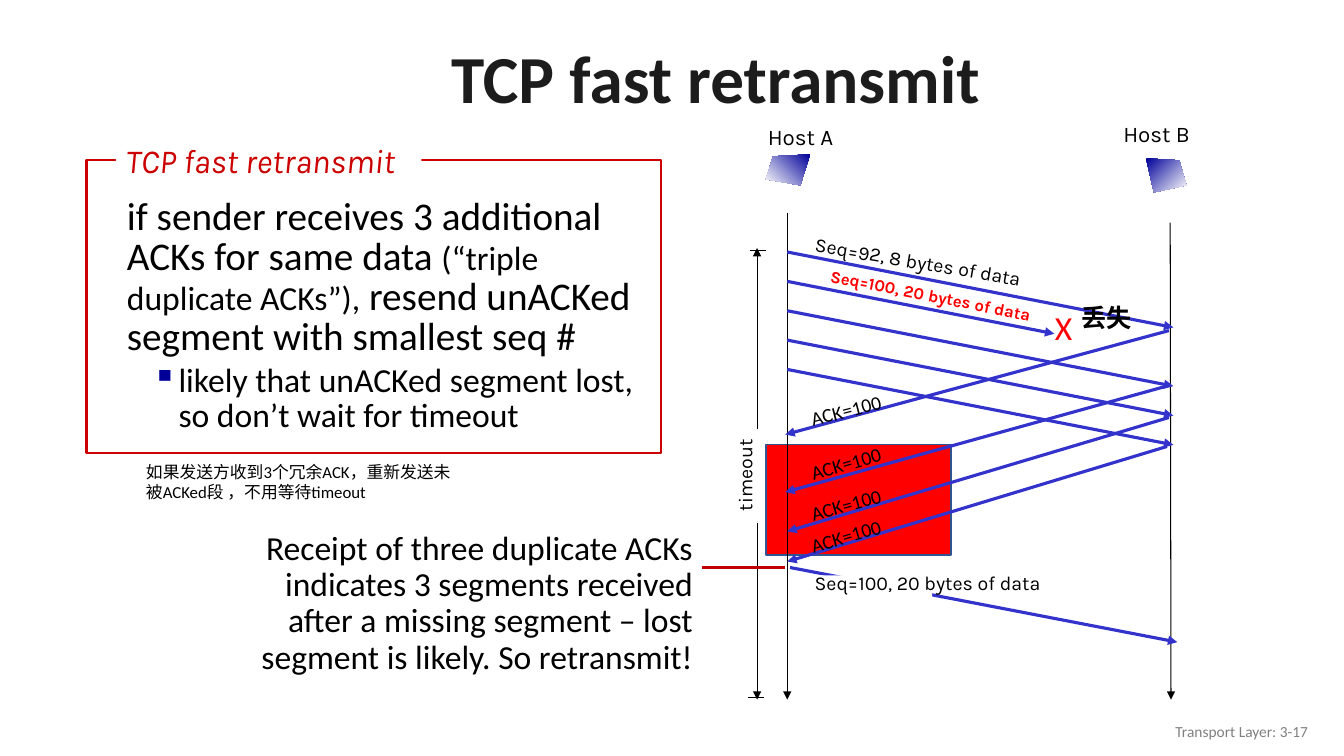
from lxml.etree import SubElement
from pptx import Presentation
from pptx.dml.color import RGBColor
from pptx.enum.shapes import MSO_CONNECTOR as CONNECTOR, MSO_SHAPE as SHAPE
from pptx.enum.text import MSO_ANCHOR as ANCHOR, PP_ALIGN as ALIGN
from pptx.oxml.ns import qn
from pptx.util import Cm, Pt

BLACK, WHITE, RED, BLUE, NAVY = "000000", "FFFFFF", "FF0000", "3333CC", "000099"
HOST_A_X, HOST_B_X, TIMEOUT_X = 19.84, 29.57, 19.08
TIMELINE_END = 17.63


def color(value):
    return RGBColor.from_string(value)


def add_run(paragraph, text, size, font="Calibri", ink=BLACK, bold=False, italic=False):
    run = paragraph.add_run()
    run.text = text
    run.font.size = Pt(size)
    run.font.name = font
    run.font.color.rgb = color(ink)
    run.font.bold = bold
    run.font.italic = italic


def add_text(slide, text, left, top, width, height, align=ALIGN.LEFT, anchor=ANCHOR.TOP,
             wrap=True, spacing=None, rotation=0, **run_format):
    box = slide.shapes.add_textbox(Cm(left), Cm(top), Cm(width), Cm(height))
    box.rotation = rotation
    frame = box.text_frame
    frame.word_wrap = wrap
    frame.vertical_anchor = anchor
    paragraph = frame.paragraphs[0]
    paragraph.alignment = align
    if spacing:
        paragraph.line_spacing = spacing
    add_run(paragraph, text, **run_format)
    return box


def add_box(slide, left, top, width, height, fill=None, outline=None, weight=1):
    box = slide.shapes.add_shape(SHAPE.RECTANGLE, Cm(left), Cm(top), Cm(width), Cm(height))
    box.shadow.inherit = False
    if fill:
        box.fill.solid()
        box.fill.fore_color.rgb = color(fill)
    else:
        box.fill.background()
    if outline:
        box.line.color.rgb = color(outline)
        box.line.width = Pt(weight)
    else:
        box.line.fill.background()
    return box


def add_line(slide, start_x, start_y, end_x, end_y, ink=BLACK, weight=0.75, arrow=False):
    line = slide.shapes.add_connector(
        CONNECTOR.STRAIGHT, Cm(start_x), Cm(start_y), Cm(end_x), Cm(end_y))
    line.line.color.rgb = color(ink)
    line.line.width = Pt(weight)
    properties = line._element.spPr
    if arrow:
        SubElement(properties.find(qn("a:ln")), qn("a:tailEnd")).set("type", "triangle")
    SubElement(properties, qn("a:effectLst"))


def add_message(slide, *ends):
    add_line(slide, *ends, ink=BLUE, weight=2.25, arrow=True)


def add_host_icon(slide, points, angle):
    """Draw a navy-to-white quadrilateral; angle is counter-clockwise."""
    corners = [(Cm(x), Cm(y)) for x, y in points]
    builder = slide.shapes.build_freeform(*corners[0], scale=1.0)
    builder.add_line_segments(corners[1:], close=True)
    icon = builder.convert_to_shape()
    icon.shadow.inherit = False
    icon.line.fill.background()
    icon.fill.gradient()
    icon.fill.gradient_angle = angle
    for stop, position, shade in zip(icon.fill.gradient_stops, (0, 1), (NAVY, WHITE)):
        stop.position = position
        stop.color.rgb = color(shade)


def add_bullet(paragraph, left, hanging):
    properties = paragraph._p.get_or_add_pPr()
    properties.set("marL", str(Cm(left)))
    properties.set("indent", str(-Cm(hanging)))
    bullet_color = SubElement(properties, qn("a:buClr"))
    SubElement(bullet_color, qn("a:srgbClr")).set("val", NAVY)
    SubElement(properties, qn("a:buChar")).set("char", "▪")


def add_timelines(slide):
    add_line(slide, HOST_A_X, 5.36, HOST_A_X, TIMELINE_END, arrow=True)
    add_line(slide, 29.49, 5.61, 29.51, TIMELINE_END, arrow=True)
    for name, left, top in (("Host B", 27.66, 2.9), ("Host A", 18.69, 2.97)):
        add_text(slide, name, left, top, 2.97, 1.09, align=ALIGN.CENTER, wrap=False,
                 size=16, font="Karla")


def add_timeout(slide):
    label = add_text(slide, "timeout", 18.34, 10.92, 1.52, 2.21, align=ALIGN.CENTER,
                     wrap=False, rotation=180, size=14, font="Karla")
    label.text_frame._txBody.bodyPr.set("vert", "eaVert")
    add_line(slide, TIMEOUT_X, 10.82, TIMEOUT_X, 6.25, arrow=True)
    add_line(slide, TIMEOUT_X, 13.18, TIMEOUT_X, TIMELINE_END, arrow=True)
    add_line(slide, 18.9, 6.3, 19.3, 6.3)
    add_line(slide, 18.85, 17.58, 19.25, 17.58)


def add_acknowledgements(slide):
    for ends in ((29.46, 8.33, 19.79, 10.95), (29.51, 9.7, 19.79, 12.4),
                 (29.46, 10.52, HOST_A_X, 13.39), (29.41, 11.25, HOST_A_X, 14.15)):
        add_message(slide, *ends)
    for top, rotation in ((9.91, 345.6), (11.25, 343.9), (12.29, 344.3), (13.08, 343.8)):
        add_text(slide, "ACK=100", 20.15, top, 2.34, 0.86, align=ALIGN.CENTER, wrap=False,
                 rotation=rotation, size=14)


def add_segments(slide):
    add_box(slide, 20.65, 7.11, 2.92, 0.74, fill=WHITE)
    for index in range(5):
        start_y = 6.35 + 0.74 * index
        lost = index == 1
        end_x, drop = (26.57, 1.32) if lost else (HOST_B_X, 1.9)
        add_message(slide, HOST_A_X, start_y, end_x, start_y + drop)
    add_text(slide, "X", 26.26, 7.62, 1.09, 1.27, align=ALIGN.CENTER, size=24, ink=RED)
    add_text(slide, "Seq=92, 8 bytes of data", 20.19, 6.17, 5.89, 0.86, align=ALIGN.CENTER,
             rotation=9.7, size=14, font="Karla")
    add_text(slide, "Seq=100, 20 bytes of data", 20.24, 7.06, 6.43, 0.76,
             align=ALIGN.CENTER, rotation=11.1, size=12, font="Karla", ink=RED, bold=True)


def add_retransmission(slide):
    add_message(slide, 19.91, 14.3, 29.67, 16.18)
    add_box(slide, 20.57, 14.5, 2.92, 0.74, fill=WHITE)
    add_text(slide, "Seq=100, 20 bytes of data", 19, 14.25, 8.76, 0.99,
             align=ALIGN.CENTER, wrap=False, size=14, font="Karla")


def add_rule_panel(slide):
    panel = add_box(slide, 2.95, 4.88, 13.36, 6.3, fill=WHITE)
    frame = panel.text_frame
    frame.word_wrap = True
    frame.vertical_anchor = ANCHOR.TOP
    rule, reason = frame.paragraphs[0], frame.add_paragraph()
    add_bullet(reason, 1.3, 0.66)
    reason.level = 1
    reason.space_before = Pt(4.8)
    for paragraph in (rule, reason):
        paragraph.alignment = ALIGN.LEFT
        paragraph.line_spacing = 0.85
    add_run(rule, "if sender receives 3 additional ACKs for same data ", 28)
    add_run(rule, "(“triple duplicate ACKs”),", 24)
    add_run(rule, " resend unACKed segment with smallest seq #", 28)
    add_run(reason, "likely that unACKed segment lost, so don’t wait for timeout", 24)

    add_box(slide, 2.18, 4.04, 14.48, 7.37, outline="CC0000", weight=1.5)
    add_box(slide, 2.92, 3.4, 7.7, 1.27, fill=WHITE)
    add_text(slide, "TCP fast retransmit", 2.92, 3.4, 7.7, 1.27,
             size=24, font="Karla", ink="CC0000", italic=True)


def main():
    presentation = Presentation()
    presentation.slide_width, presentation.slide_height = Cm(33.87), Cm(19.05)
    slide = presentation.slides.add_slide(presentation.slide_layouts[6])

    add_box(slide, 19.3, 11.2, 4.67, 2.79, fill=RED, outline="325491")
    add_text(slide, "TCP fast retransmit", 2.21, 0.81, 31.65, 2.49, align=ALIGN.CENTER,
             anchor=ANCHOR.MIDDLE, spacing=0.9, size=48, ink="1C1C1C", bold=True)
    add_timelines(slide)
    add_timeout(slide)
    add_acknowledgements(slide)
    add_segments(slide)
    add_retransmission(slide)
    add_host_icon(slide, [(20.42, 3.89), (19.48, 3.94), (19.3, 4.52), (20.17, 4.67)], 225)
    add_host_icon(slide, [(28.88, 3.99), (29.72, 4.04), (29.9, 4.67), (29.08, 4.85)], 315)
    add_text(slide, "Receipt of three duplicate ACKs indicates 3 segments received after a "
             "missing segment – lost segment is likely. So retransmit!",
             6.2, 13.26, 11.51, 3.96, align=ALIGN.RIGHT, spacing=0.9, size=24)
    add_line(slide, 17.68, 14.3, 19.79, 14.3, ink="C00000", weight=1.75)
    add_rule_panel(slide)
    add_text(slide, "Transport Layer: 3-17", 25.6, 17.91, 7.62, 1.02, align=ALIGN.RIGHT,
             anchor=ANCHOR.MIDDLE, size=11, ink="808080")
    add_text(slide, "如果发送方收到3个冗余ACK，重新发送未被ACKed段 ，不用等待timeout",
             3.43, 11.51, 8.28, 1.27, size=12)
    add_text(slide, "丢失", 27, 7.49, 2.49, 1.02, size=18, bold=True)
    presentation.save("out.pptx")


if __name__ == "__main__":
    main()
